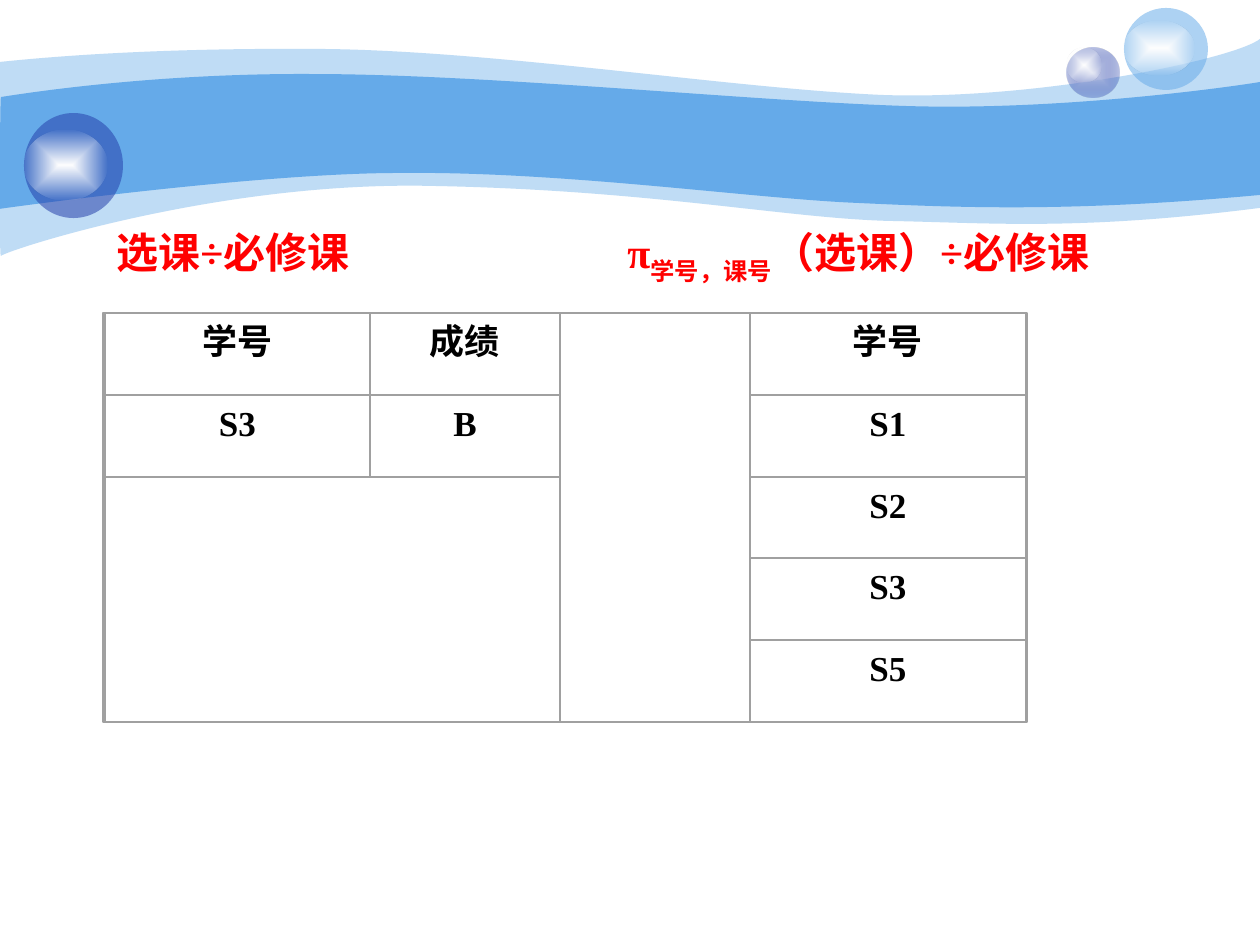
from pptx import Presentation
from pptx.dml.color import RGBColor
from pptx.enum.shapes import MSO_SHAPE as Shape
from pptx.enum.text import MSO_AUTO_SIZE as AutoSize, PP_ALIGN as Align
from pptx.oxml import parse_xml
from pptx.oxml.ns import nsdecls, qn
from pptx.util import Pt

SCALE = 914400 / 126  # EMU per px
COLORS = {"sky": "65AAE9", "navy": "233DA9", "mist": "C7CEE9", "white": "FFFFFF",
          "grid": "A0A0A0", "ink": "000000", "heading": "FF0000"}
FONT = "Times New Roman"

# Each band: start point, then segments; three points make a curve, one a straight line
OUTER_BAND = [(0, 62),
              ((30, 59), (135, 48), (311, 49)), ((486, 49), (725, 88), (881, 95)),
              ((1036, 101), (1235, 59), (1260, 39)), ((1260, 208),),
              ((1079, 231), (992, 223), (888, 221)), ((784, 218), (649, 190), (432, 186)),
              ((217, 181), (5, 251), (1, 256)), ((-1, 262), (0, 95), (0, 62))]
INNER_BAND = [(1, 97),
              ((3, 97), (139, 73), (312, 74)), ((486, 74), (750, 101), (905, 106)),
              ((1060, 111), (1230, 87), (1260, 82)), ((1260, 195),),
              ((1075, 212), (964, 208), (859, 203)), ((755, 199), (563, 171), (399, 173)),
              ((256, 173), (-3, 209), (-1, 209)), ((0, 209), (0, 97), (1, 97))]

COLUMN_EDGES = [105, 370, 560, 750, 1026]
GRID_TOP, GRID_HEIGHT, ROW_COUNT = 313, 409, 5
ROW_EDGES = [GRID_TOP + round(GRID_HEIGHT * row / ROW_COUNT) for row in range(ROW_COUNT + 1)]
CELL_INSET = 18
# Row, column, rows spanned, columns spanned, text
CELLS = [(0, 0, 1, 1, "学号"), (0, 1, 1, 1, "成绩"), (0, 2, 5, 1, ""), (0, 3, 1, 1, "学号"),
         (1, 0, 1, 1, "S3"), (1, 1, 1, 1, "B"), (1, 3, 1, 1, "S1"),
         (2, 0, 3, 2, ""), (2, 3, 1, 1, "S2"),
         (3, 3, 1, 1, "S3"), (4, 3, 1, 1, "S5")]


def px(*lengths):
    return [round(length * SCALE) for length in lengths]


def color_xml(name, alpha=100):
    return f'<a:srgbClr val="{COLORS[name]}"><a:alpha val="{alpha * 1000}"/></a:srgbClr>'


def solid(name, alpha=100):
    return f'<a:solidFill {nsdecls("a")}>{color_xml(name, alpha)}</a:solidFill>'


def glow(center, edge, edge_alpha):
    """Gradient from the center out to a translucent edge."""
    return (f'<a:gradFill {nsdecls("a")} rotWithShape="1"><a:gsLst>'
            f'<a:gs pos="0">{color_xml(center)}</a:gs>'
            f'<a:gs pos="100000">{color_xml(edge, edge_alpha)}</a:gs></a:gsLst>'
            '<a:path path="rect"><a:fillToRect l="50000" t="50000" r="50000" b="50000"/>'
            '</a:path></a:gradFill>')


class SlideBuilder:
    def __init__(self, page):
        self.page = page

    def paint(self, shape, fill):
        shape.shadow.inherit = False
        shape.line.fill.background()
        shape.fill.background()
        properties = shape._element.spPr
        properties.replace(properties.find(qn("a:noFill")), parse_xml(fill))

    def band(self, outline, fill):
        """Freeform through the segment ends, with its three-point segments bent to curves."""
        start, *segments = outline
        ends = [segment[-1] for segment in segments]
        builder = self.page.shapes.build_freeform(*start, scale=SCALE)
        builder.add_line_segments(ends, close=True)
        shape = builder.convert_to_shape()
        left, top = (min(values) for values in zip(start, *ends))
        lines = list(shape._element.iter(qn("a:lnTo")))
        for line, segment in zip(lines, segments):
            if len(segment) == 3:
                points = "".join(f'<a:pt x="{x - left}" y="{y - top}"/>' for x, y in segment)
                curve = parse_xml(f'<a:cubicBezTo {nsdecls("a")}>{points}</a:cubicBezTo>')
                line.getparent().replace(line, curve)
        self.paint(shape, fill)

    def ellipse(self, left, top, width, height, fill):
        shape = self.page.shapes.add_shape(Shape.OVAL, *px(left, top, width, height))
        self.paint(shape, fill)

    def ball(self, left, top, size, shine, fill):
        self.ellipse(left, top, *size, fill)
        shine_top, width, height = shine
        self.ellipse(left, shine_top, width, height, glow("white", "white", 0))

    def outline(self, left, top, width, height, weight):
        shape = self.page.shapes.add_shape(Shape.RECTANGLE, *px(left, top, width, height))
        shape.shadow.inherit = False
        shape.fill.background()
        shape.line.color.rgb = RGBColor.from_string(COLORS["grid"])
        shape.line.width = Pt(weight)

    def text(self, left, top, width, height, size, color):
        """Empty wrapped text box; returns its frame and styled paragraph."""
        box = self.page.shapes.add_textbox(*px(left, top, width, height))
        frame = box.text_frame
        frame.word_wrap = True
        para = frame.paragraphs[0]
        para.font.name = FONT
        para.font.size = Pt(size)
        para.font.bold = True
        para.font.color.rgb = RGBColor.from_string(COLORS[color])
        return frame, para

    def heading(self, left, top, width, height, spans, tab):
        """Line of (text, baseline percent) spans with one tab stop."""
        frame, para = self.text(left, top, width, height, 24, "heading")
        frame.auto_size = AutoSize.SHAPE_TO_FIT_TEXT
        para.line_spacing = 1.2
        para._p.pPr.find(qn("a:defRPr")).addprevious(parse_xml(
            f'<a:tabLst {nsdecls("a")}><a:tab pos="{px(tab)[0]}" algn="l"/></a:tabLst>'))
        for words, baseline in spans:
            span = para.add_run()
            span.text = words
            if baseline:
                span._r.get_or_add_rPr().set("baseline", str(baseline * 1000))

    def cell(self, row, column, row_span, column_span, words):
        left, top = COLUMN_EDGES[column], ROW_EDGES[row]
        width = COLUMN_EDGES[column + column_span] - left
        height = ROW_EDGES[row + row_span] - top
        if words:
            para = self.text(left + CELL_INSET, top, width - 2 * CELL_INSET, height,
                             20, "ink")[1]
            para.alignment = Align.CENTER
            para.add_run().text = words
        self.outline(left, top, width, height, 0)


def main():
    deck = Presentation()
    deck.slide_width, deck.slide_height = px(1260, 945)
    slide = SlideBuilder(deck.slides.add_slide(deck.slide_layouts[6]))

    slide.band(OUTER_BAND, solid("sky", 41))
    slide.band(INNER_BAND, solid("sky"))
    slide.ball(1067, 48, (53, 50), (48, 35, 34), glow("mist", "navy", 31))
    slide.ball(1124, 8, (84, 82), (21, 70, 54), solid("sky", 53))
    slide.ball(24, 113, (99, 105), (130, 83, 70), solid("navy", 53))

    for cell in CELLS:
        slide.cell(*cell)
    slide.outline(103, GRID_TOP, 924, GRID_HEIGHT, 0.88)
    slide.heading(104, 208, 1081, 84,
                  [("选课÷必修课\tπ", 0), ("学号，课号", -30), ("（选课）÷必修课", 0)], tab=511)
    deck.save("out.pptx")


if __name__ == "__main__":
    main()
